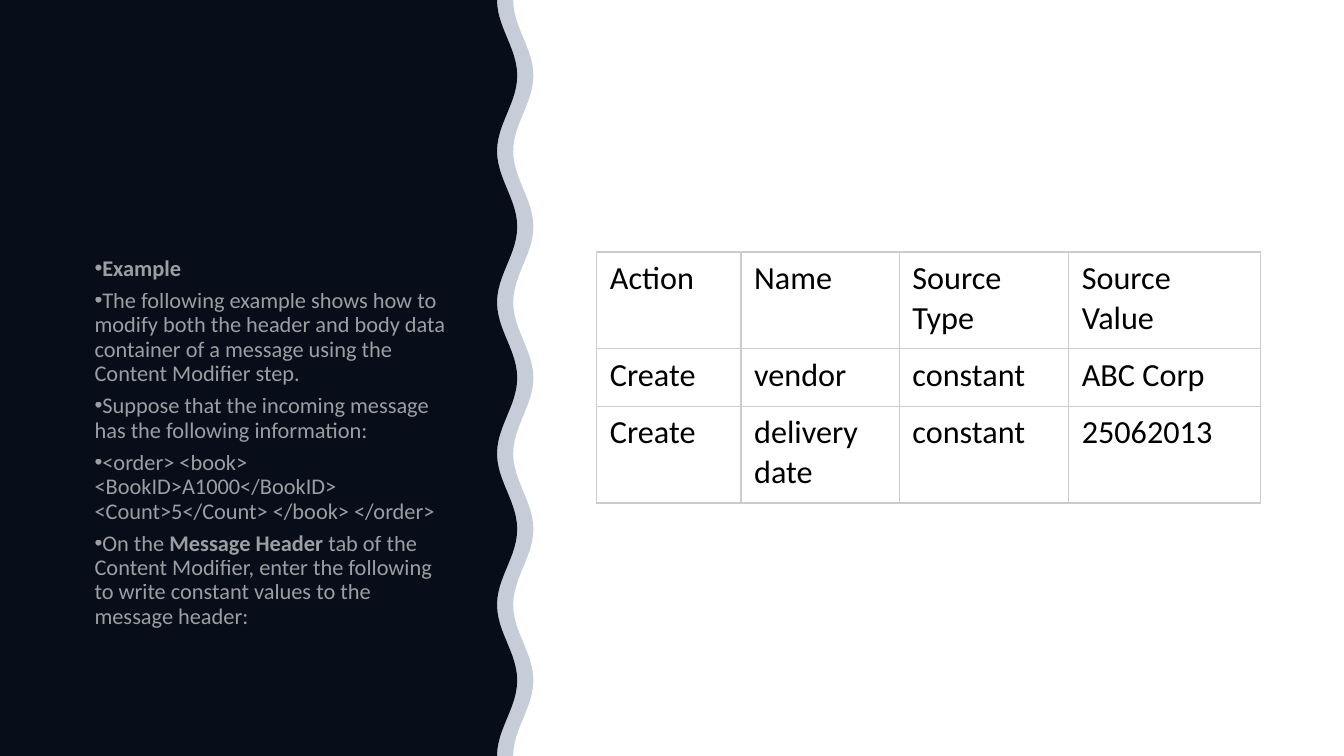
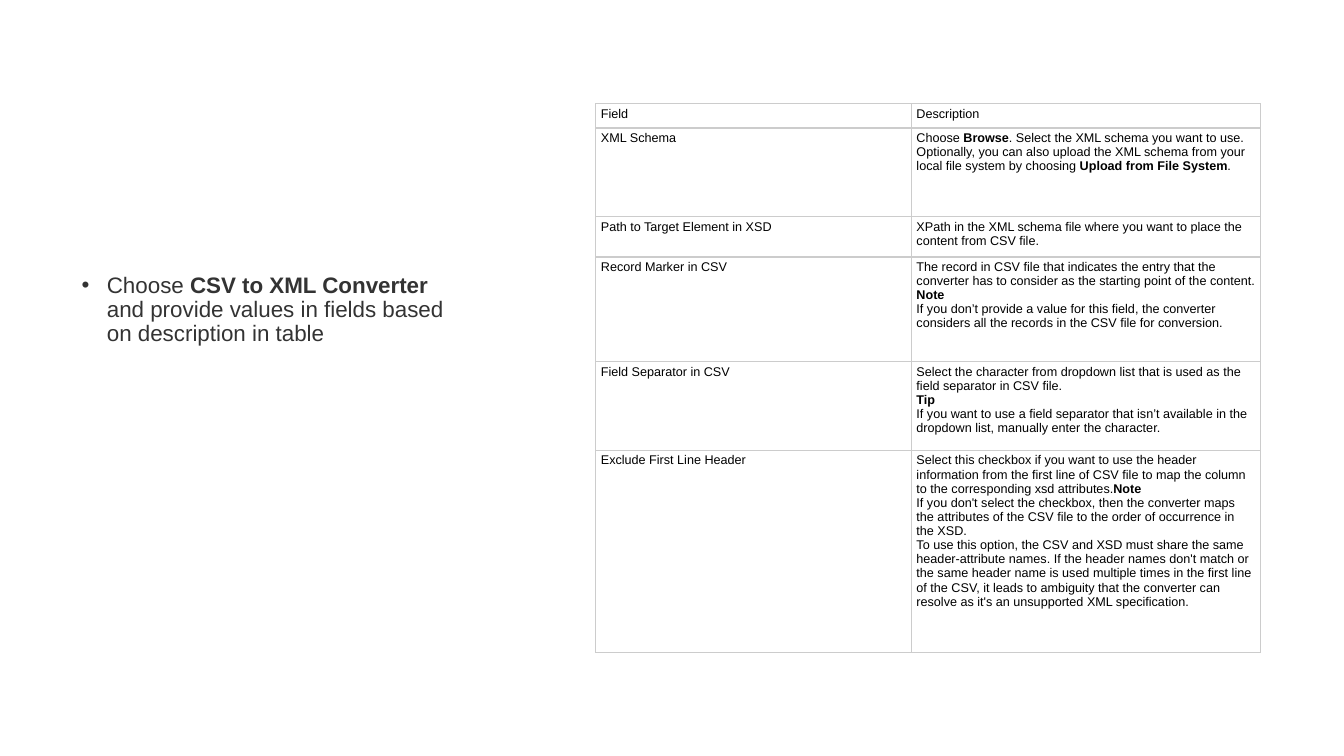
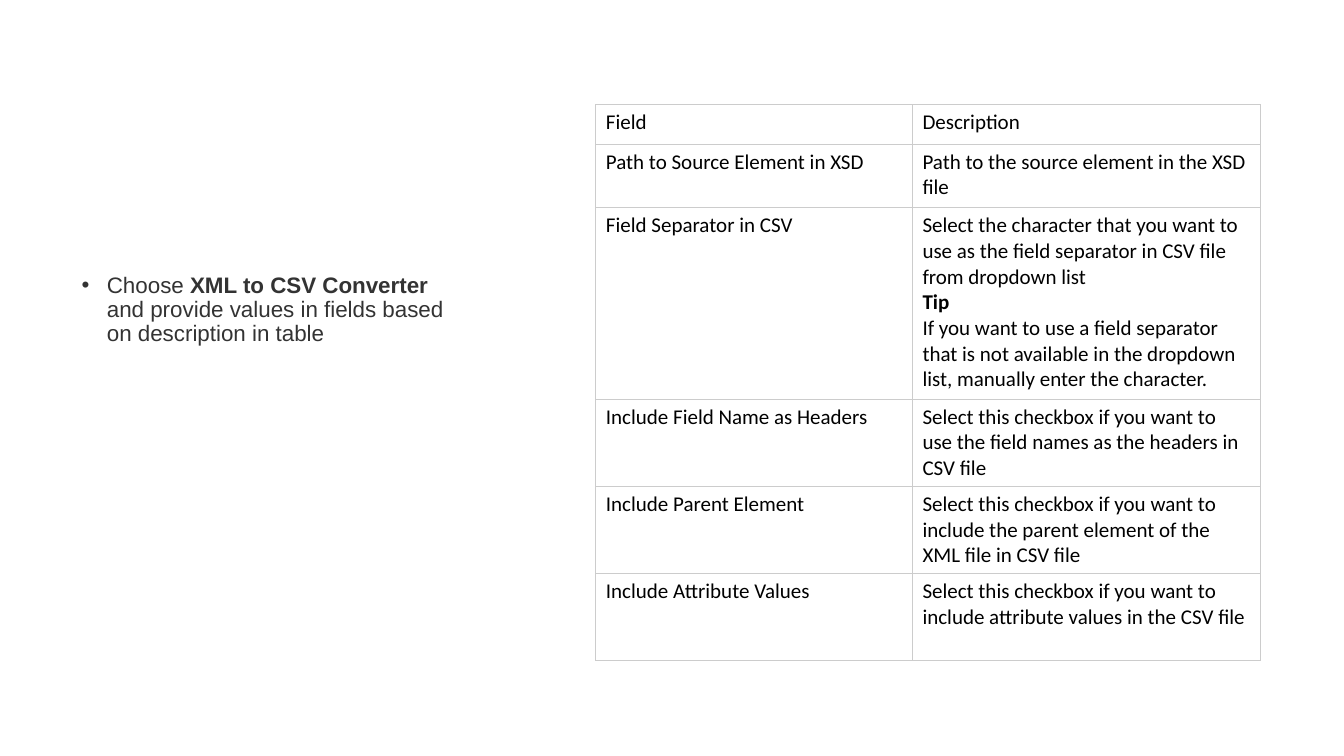
"""Build three slides on message headers and CSV/XML converters."""
from math import cos, pi

from pptx import Presentation
from pptx.dml.color import RGBColor
from pptx.oxml import parse_xml
from pptx.oxml.ns import nsdecls, qn
from pptx.util import Inches, Pt

INK, GREY, WHITE, BLACK, NAVY, RULE = "000000", "333333", "FFFFFF", "000000", "203864", "CCCCCC"
WIDTH, HEIGHT = 13.33, 7.5
WAVE_PERIOD, WAVE_DEPTH, WAVE_STEPS = 1.5, 0.1, 120
TITLE_AND_CONTENT, BLANK = 1, 6

EXAMPLE_NOTES = [
    "**Example**",
    "The following example shows how to modify both the header and body data container "
    "of a message using the Content Modifier step.",
    "Suppose that the incoming message has the following information:",
    "<order> <book> <BookID>A1000</BookID> <Count>5</Count> </book> </order>",
    "On the **Message Header** tab of the Content Modifier, enter the following to write "
    "constant values to the message header:",
]

HEADER_TABLE = {
    "at": (5.92, 2.5), "font": ("Calibri", 23), "margins": (0.13, 0.07),
    "cols": [1.43, 1.57, 1.68, 1.9], "rows": [0.96, 0.57, 0.96],
    "cells": [
        ("Action", "Name", "Source Type", "Source Value"),
        ("Create", "vendor", "constant", "ABC Corp"),
        ("Create", "delivery date", "constant", "25062013"),
    ],
}

CSV_TO_XML_TABLE = {
    "at": (5.91, 1.03), "font": ("Arial", 9), "margins": (0.05, 0.03),
    "cols": [3.13, 3.46], "rows": [0.24, 0.88, 0.4, 1.04, 0.88, 2],
    "cells": [
        ("Field", "Description"),
        ("XML Schema",
         "Choose **Browse**. Select the XML schema you want to use.\n"
         "Optionally, you can also upload the XML schema from your local file system "
         "by choosing **Upload from File System**."),
        ("Path to Target Element in XSD",
         "XPath in the XML schema file where you want to place the content from CSV file."),
        ("Record Marker in CSV",
         "The record in CSV file that indicates the entry that the converter has to consider "
         "as the starting point of the content.\n**Note**\n"
         "If you don’t provide a value for this field, the converter considers all the "
         "records in the CSV file for conversion."),
        ("Field Separator in CSV",
         "Select the character from dropdown list that is used as the field separator in "
         "CSV file.\n**Tip**\n"
         "If you want to use a field separator that isn’t available in the dropdown list, "
         "manually enter the character."),
        ("Exclude First Line Header",
         "Select this checkbox if you want to use the header information from the first line "
         "of CSV file to map the column to the corresponding xsd attributes.**Note**\n"
         "If you don't select the checkbox, then the converter maps the attributes of the "
         "CSV file to the order of occurrence in the XSD.\n"
         "To use this option, the CSV and XSD must share the same header-attribute names. "
         "If the header names don't match or the same header name is used multiple times in "
         "the first line of the CSV, it leads to ambiguity that the converter can resolve as "
         "it's an unsupported XML specification."),
    ],
}

XML_TO_CSV_TABLE = {
    "at": (5.91, 1.04), "font": ("Calibri", 15), "margins": (0.1, 0.05),
    "cols": [3.14, 3.45], "rows": [0.39, 0.63, 1.9, 0.86, 0.86, 0.86],
    "cells": [
        ("Field", "Description"),
        ("Path to Source Element in XSD", "Path to the source element in the XSD file"),
        ("Field Separator in CSV",
         "Select the character that you want to use as the field separator in CSV file from "
         "dropdown list\n**Tip**\n"
         "If you want to use a field separator that is not available in the dropdown list, "
         "manually enter the character."),
        ("Include Field Name as Headers",
         "Select this checkbox if you want to use the field names as the headers in CSV file"),
        ("Include Parent Element",
         "Select this checkbox if you want to include the parent element of the XML file "
         "in CSV file"),
        ("Include Attribute Values",
         "Select this checkbox if you want to include attribute values in the CSV file"),
    ],
}

CONVERTERS = [
    ("Choose **CSV to XML Converter** and provide values in fields based on description in table",
     CSV_TO_XML_TABLE),
    ("Choose **XML to CSV Converter** and provide values in fields based on description in table",
     XML_TO_CSV_TABLE),
]


def paint(color_format, value, opacity=100):
    color_format.rgb = RGBColor.from_string(value)
    if opacity < 100:
        clr = color_format._xFill.find(qn("a:srgbClr"))
        clr.append(parse_xml(f'<a:alpha {nsdecls("a")} val="{opacity * 1000}"/>'))


def write(tf, paragraphs, font, size, color, opacity=100):
    for i, text in enumerate(paragraphs):
        p = tf.paragraphs[0] if i == 0 else tf.add_paragraph()
        for j, piece in enumerate(text.split("**")):
            if piece:
                r = p.add_run()
                r.text = piece
                r.font.name, r.font.size, r.font.bold = font, Pt(size), j % 2 == 1
                r.font.fill.solid()
                paint(r.font.fill.fore_color, color, opacity) if opacity == 100 else fade(r, color, opacity)


def fade(r, color, opacity):
    r.font.fill.fore_color.rgb = RGBColor.from_string(color)
    add_alpha(r._r, opacity)


def add_alpha(element, opacity):
    clr = next(element.iter(qn("a:srgbClr")))
    clr.append(parse_xml(f'<a:alpha {nsdecls("a")} val="{opacity * 1000}"/>'))


def bullet(tf, margin, before=0, after=0):
    for p in tf.paragraphs:
        p.line_spacing, p.space_before, p.space_after = 0.9, Pt(before), Pt(after)
        pPr = p._p.get_or_add_pPr()
        pPr.set("marL", str(Inches(margin)))
        pPr.set("indent", str(Inches(-0.25)))
        pPr.append(parse_xml(f'<a:buFont {nsdecls("a")} typeface="Arial"/>'))
        pPr.append(parse_xml(f'<a:buChar {nsdecls("a")} char="•"/>'))


def wavy_panel(slide, crest, color, opacity=100):
    ys = [HEIGHT * i / WAVE_STEPS for i in range(WAVE_STEPS + 1)]
    edge = [(crest - WAVE_DEPTH * (1 + cos(2 * pi * y / WAVE_PERIOD)), y) for y in ys]
    builder = slide.shapes.build_freeform(0, 0)
    builder.add_line_segments([(Inches(x), Inches(y)) for x, y in edge + [(0, HEIGHT)]])
    sp = builder.convert_to_shape()
    sp.shadow.inherit = False
    sp.fill.solid()
    sp.fill.fore_color.rgb = RGBColor.from_string(color)
    if opacity < 100:
        add_alpha(sp._element.spPr, opacity)
    sp.line.fill.background()


def border(cell):
    tcPr = cell._tc.get_or_add_tcPr()
    for i, side in enumerate(("lnL", "lnR", "lnT", "lnB")):
        tcPr.insert(i, parse_xml(
            f'<a:{side} {nsdecls("a")} w="{Pt(1)}"><a:solidFill><a:srgbClr val="{RULE}"/>'
            f'</a:solidFill></a:{side}>'))


def grid(slide, data):
    cols, rows = data["cols"], data["rows"]
    box = (*data["at"], sum(cols), sum(rows))
    table = slide.shapes.add_table(len(rows), len(cols), *map(Inches, box)).table
    table.first_row = table.horz_banding = False
    for col, width in zip(table.columns, cols):
        col.width = Inches(width)
    side, top = map(Inches, data["margins"])
    for row, height, texts in zip(table.rows, rows, data["cells"]):
        row.height = Inches(height)
        for cell, text in zip(row.cells, texts):
            cell.margin_left = cell.margin_right = side
            cell.margin_top = cell.margin_bottom = top
            cell.fill.background()
            border(cell)
            write(cell.text_frame, text.split("\n"), *data["font"], INK)


def example_slide(prs):
    slide = prs.slides.add_slide(prs.slide_layouts[BLANK])
    wavy_panel(slide, 5.13, BLACK)
    wavy_panel(slide, 5.29, NAVY, 25)
    tf = slide.shapes.add_textbox(*map(Inches, (0.84, 2.5, 3.7, 4.2))).text_frame
    tf.word_wrap = True
    write(tf, EXAMPLE_NOTES, "Calibri", 16, WHITE, 60)
    bullet(tf, 0, after=6)
    grid(slide, HEADER_TABLE)


def converter_slide(prs, instruction, data):
    slide = prs.slides.add_slide(prs.slide_layouts[TITLE_AND_CONTENT])
    title = slide.shapes.title._element
    title.getparent().remove(title)
    body = slide.placeholders[1]
    body.left, body.top, body.width, body.height = map(Inches, (0.71, 2.67, 3.83, 4.14))
    write(body.text_frame, [instruction], "Arial", 16, GREY)
    bullet(body.text_frame, 0.25, before=10)
    grid(slide, data)


def main():
    prs = Presentation()
    prs.slide_width, prs.slide_height = Inches(WIDTH), Inches(HEIGHT)
    example_slide(prs)
    for instruction, data in CONVERTERS:
        converter_slide(prs, instruction, data)
    prs.save("out.pptx")


if __name__ == "__main__":
    main()
